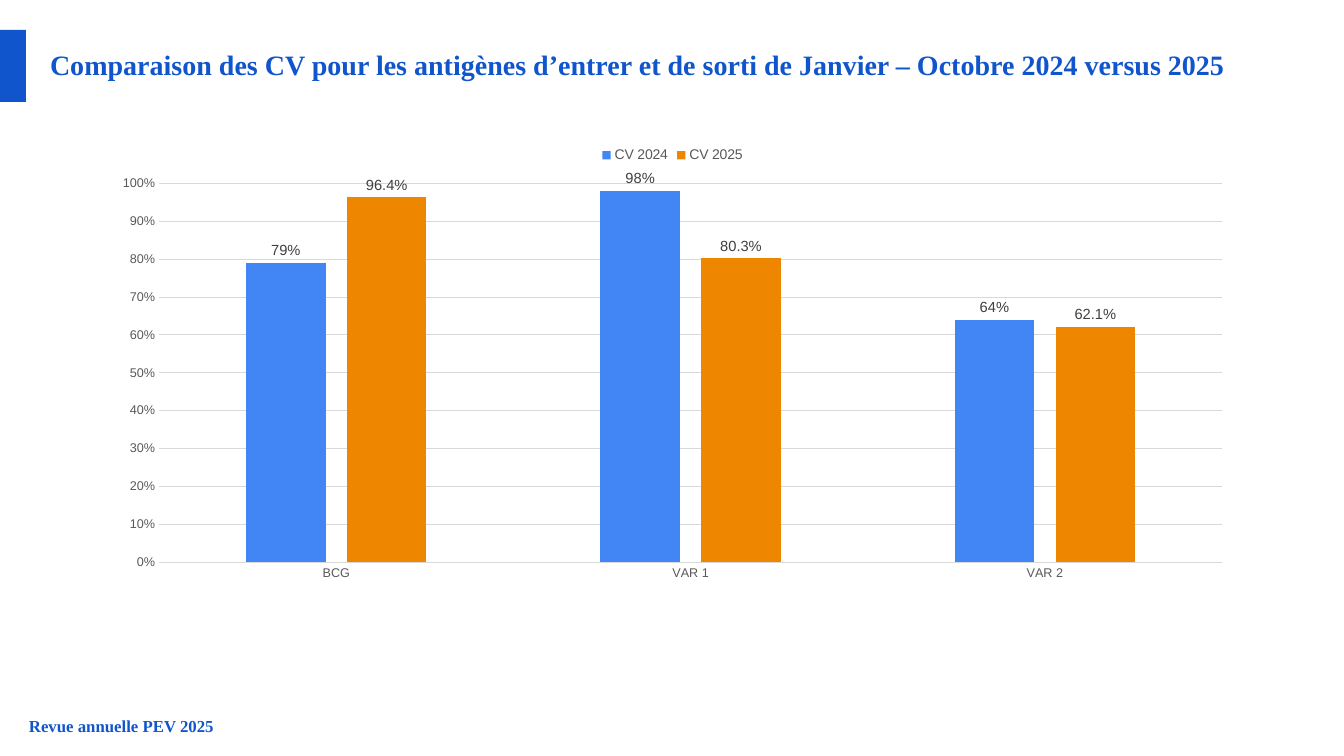
import pptx
import pptx.chart.data
import pptx.dml.color
import pptx.enum.chart
import pptx.enum.shapes
import pptx.enum.text
import pptx.util

RGB = pptx.dml.color.RGBColor
BLUE = RGB(0x11, 0x55, 0xCC)
BAR_BLUE = RGB(0x42, 0x85, 0xF4)
BAR_ORANGE = RGB(0xEF, 0x86, 0x00)
BLACK = RGB(0x00, 0x00, 0x00)
LABEL_GREY = RGB(0x40, 0x40, 0x40)
AXIS_GREY = RGB(0x59, 0x59, 0x59)
GRID_GREY = RGB(0xD9, 0xD9, 0xD9)
WHITE = RGB(0xFF, 0xFF, 0xFF)

EMU_PER_PX = 914400 / 100.8
CATEGORIES = ["BCG", "VAR 1", "VAR 2"]
SERIES = [
    ("CV 2024", [0.79, 0.98, 0.64], BAR_BLUE, "0%"),
    ("CV 2025", [0.964, 0.803, 0.621], BAR_ORANGE, "0.0%"),
]


def px(n):
    return pptx.util.Emu(round(n * EMU_PER_PX))


def place(sp, box):
    sp.left, sp.top, sp.width, sp.height = map(px, box)


def set_font(font, size, color, name="Arial", bold=False):
    font.size = pptx.util.Pt(size)
    font.name = name
    font.bold = bold
    font.color.rgb = color


def set_line(line, color):
    line.color.rgb = color
    line.width = pptx.util.Pt(0.75)


def write_heading(tf, text, size, anchor, bottom=0):
    tf.word_wrap = True
    tf.auto_size = pptx.enum.text.MSO_AUTO_SIZE.NONE
    tf.vertical_anchor = anchor
    tf.margin_left = tf.margin_top = tf.margin_right = 0
    tf.margin_bottom = px(bottom)
    p = tf.paragraphs[0]
    p.alignment = pptx.enum.text.PP_ALIGN.LEFT
    r = p.add_run()
    r.text = text
    set_font(r.font, size, BLUE, "Times New Roman", True)


def add_header(slide, box):
    x, y, w, h = box
    title = slide.shapes.title
    place(title, (x + 50, y + 11, w - 101, h - 11))
    write_heading(
        title.text_frame,
        "Comparaison des CV pour les antigènes d’entrer et de sorti de Janvier – Octobre 2024 versus 2025",
        20, pptx.enum.text.MSO_ANCHOR.MIDDLE, bottom=13)
    bar = slide.shapes.add_shape(
        pptx.enum.shapes.MSO_SHAPE.RECTANGLE, *map(px, (x, y + 30, 26, 72)))
    bar.shadow.inherit = False
    bar.fill.solid()
    bar.fill.fore_color.rgb = BLUE
    bar.line.fill.background()


def add_footer(slide, box):
    sp = slide.shapes.add_textbox(*map(px, box))
    write_heading(sp.text_frame, "Revue annuelle PEV 2025", 12,
                  pptx.enum.text.MSO_ANCHOR.TOP)


def format_axes(chart):
    for axis in (chart.category_axis, chart.value_axis):
        axis.major_tick_mark = pptx.enum.chart.XL_TICK_MARK.NONE
        axis.minor_tick_mark = pptx.enum.chart.XL_TICK_MARK.NONE
        set_font(axis.tick_labels.font, 9, AXIS_GREY)
    set_line(chart.category_axis.format.line, GRID_GREY)
    values = chart.value_axis
    values.minimum_scale = 0
    values.maximum_scale = 1
    values.major_unit = 0.1
    values.format.line.fill.background()
    values.has_major_gridlines = True
    set_line(values.major_gridlines.format.line, GRID_GREY)
    values.tick_labels.number_format = "0%"
    values.tick_labels.number_format_is_linked = False


def format_series(series, color, number_format):
    series.format.fill.solid()
    series.format.fill.fore_color.rgb = color
    series.invert_if_negative = False
    labels = series.data_labels
    labels.show_value = True
    labels.number_format = number_format
    labels.number_format_is_linked = False
    labels.position = pptx.enum.chart.XL_LABEL_POSITION.OUTSIDE_END
    set_font(labels.font, 10.5, LABEL_GREY)


def add_coverage_chart(slide, box):
    data = pptx.chart.data.CategoryChartData()
    data.categories = CATEGORIES
    for name, values, _, number_format in SERIES:
        data.add_series(name, values, number_format)
    chart = slide.shapes.add_chart(
        pptx.enum.chart.XL_CHART_TYPE.COLUMN_CLUSTERED, *map(px, box), data).chart
    set_font(chart.font, 10, BLACK)
    chart.has_title = False
    chart.has_legend = True
    chart.legend.position = pptx.enum.chart.XL_LEGEND_POSITION.TOP
    chart.legend.include_in_layout = False
    set_font(chart.legend.font, 10, AXIS_GREY)
    format_axes(chart)
    plot = chart.plots[0]
    plot.vary_by_categories = False
    plot.gap_width = 219
    plot.overlap = -27
    for series, (_, _, color, number_format) in zip(plot.series, SERIES):
        format_series(series, color, number_format)


def main():
    prs = pptx.Presentation()
    prs.slide_width, prs.slide_height = px(1344), px(756)
    slide = prs.slides.add_slide(prs.slide_layouts[5])
    slide.background.fill.solid()
    slide.background.fill.fore_color.rgb = WHITE
    add_header(slide, (0, 0, 1344, 130))
    add_footer(slide, (29, 716, 1258, 20))
    add_coverage_chart(slide, (100, 136, 1145, 454))
    prs.save("out.pptx")


if __name__ == "__main__":
    main()
